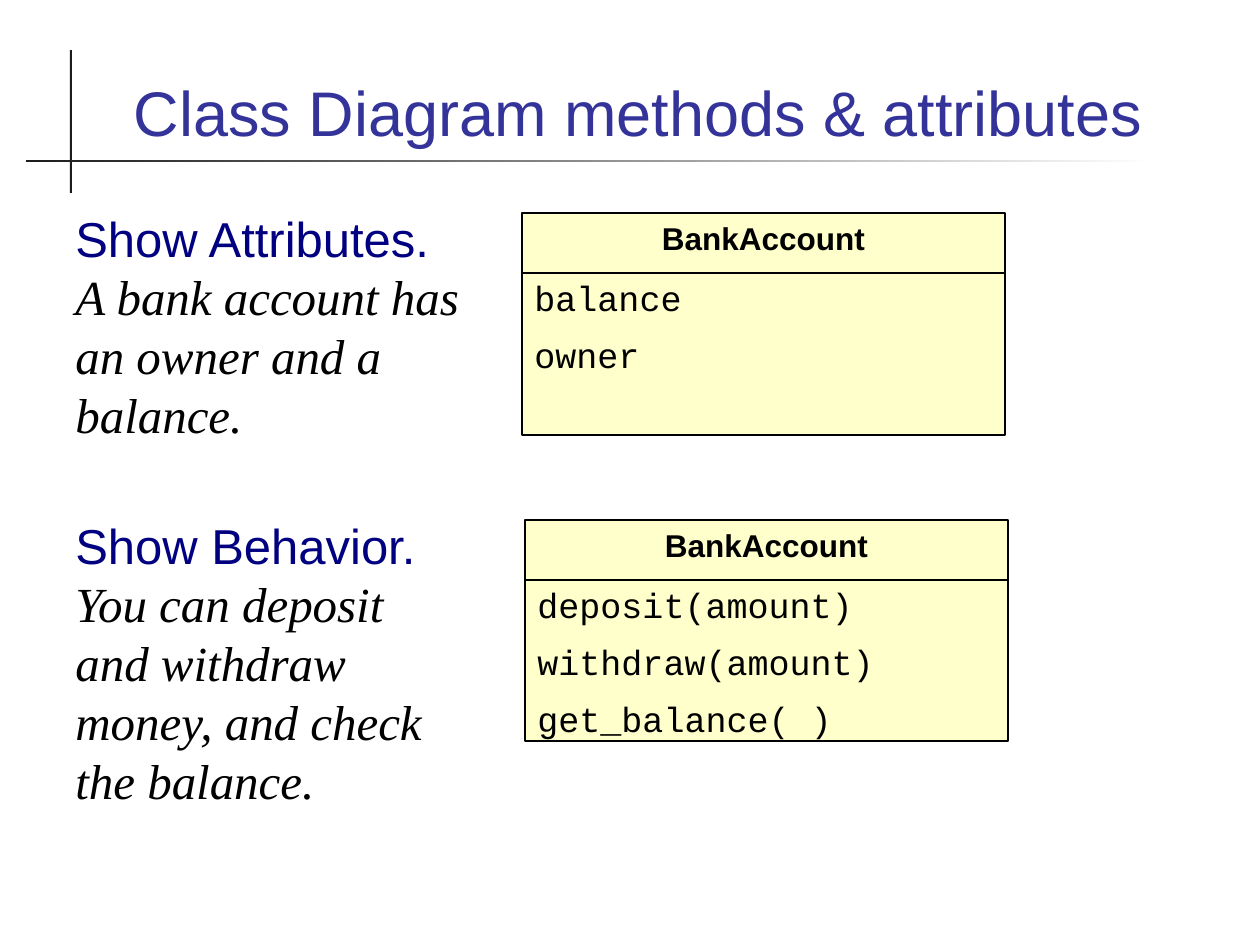
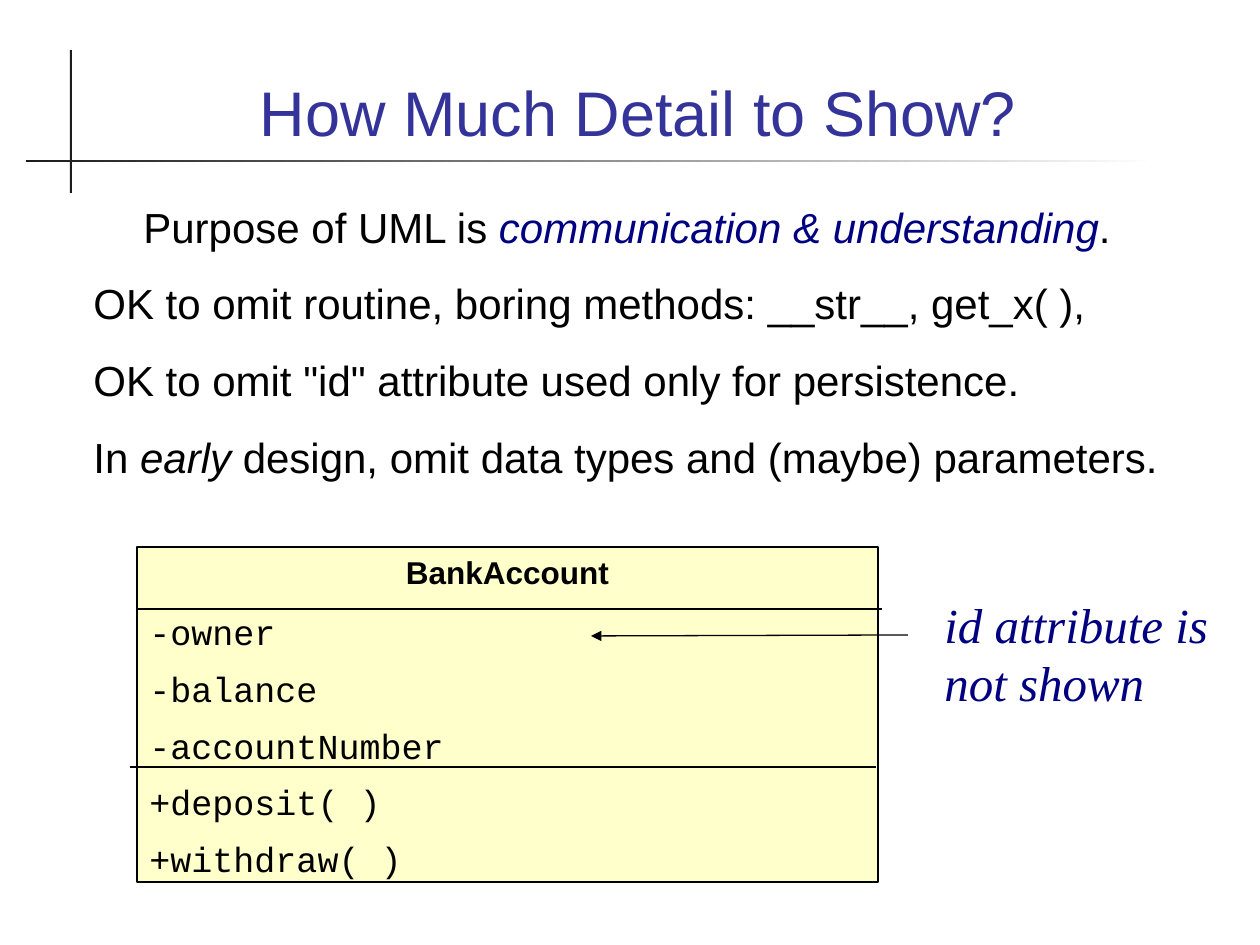
"""Build two slides on how much detail a UML class diagram shows."""
import lxml.etree
import pptx
import pptx.dml.color
import pptx.enum.shapes
import pptx.enum.text
import pptx.oxml.ns
import pptx.util

PX = 914400 / 126
RGB = pptx.dml.color.RGBColor
BLACK = RGB(0x00, 0x00, 0x00)
WHITE = RGB(0xFF, 0xFF, 0xFF)
BAND = RGB(0x1C, 0x1C, 0x1C)
INDIGO = RGB(0x33, 0x33, 0x99)
NAVY = RGB(0x00, 0x00, 0x80)
CREAM = RGB(0xFF, 0xFF, 0xCC)
SANS, SERIF, MONO = "Arial", "Times New Roman", "Courier New"
CENTER = pptx.enum.text.PP_ALIGN.CENTER
LEFT = pptx.enum.text.PP_ALIGN.LEFT
RECTANGLE = pptx.enum.shapes.MSO_SHAPE.RECTANGLE

TITLE_BOX = (84, 35, 1091, 120)
VERTICAL_BAND = (70, 50, 2, 143)
HORIZONTAL_BAND = (26, 160, 1131, 2)

SLIDES = [
    {
        "title": "Class Diagram methods & attributes",
        "classes": [
            ((522, 213, 483, 222), "BankAccount", ["balance", "owner"]),
            ((525, 520, 483, 221), "BankAccount",
             ["deposit(amount)", "withdraw(amount)", "get_balance( )"]),
        ],
        "dividers": [(522, 273, 1005), (525, 580, 1008)],
        "notes": [
            ((63, 202, 416, 247), "Show Attributes.",
             "A bank account has an owner and a balance."),
            ((63, 509, 416, 306), "Show Behavior.",
             "You can deposit and withdraw money, and check the balance."),
        ],
    },
    {
        "title": "How Much Detail to Show?",
        "advice": ((81, 195, 1092, 296), [
            [("Purpose of UML is ", BLACK, False),
             ("communication & understanding", NAVY, True),
             (".", BLACK, False)],
            [("OK to omit routine, boring methods: __str__, get_x( ),", BLACK, False)],
            [('OK to omit "id" attribute used only for persistence.', BLACK, False)],
            [("In ", BLACK, False), ("early", BLACK, True),
             (" design, omit data types and (maybe) parameters.", BLACK, False)],
        ]),
        "classes": [
            ((137, 547, 741, 335), "BankAccount",
             ["-owner", "-balance", "-accountNumber", "+deposit( )", "+withdraw( )"]),
        ],
        "dividers": [(136, 609, 882), (130, 767, 876)],
        "callout": ((932, 588, 290, 130), "id attribute is not shown"),
        "arrow": (908, 635, 591, 636),
    },
]


def px(*lengths):
    """Turn pixel lengths into EMU."""
    return [pptx.util.Emu(round(length * PX)) for length in lengths]


def write_lines(frame, lines):
    """Fill a frame from (spans, font, size, bold, alignment, space before)."""
    frame.word_wrap = True
    frame.auto_size = pptx.enum.text.MSO_AUTO_SIZE.NONE
    frame.vertical_anchor = pptx.enum.text.MSO_ANCHOR.TOP
    for index, (spans, font, size, bold, align, before) in enumerate(lines):
        para = frame.add_paragraph() if index else frame.paragraphs[0]
        para.alignment = align
        para.space_before = pptx.util.Pt(before)
        para.line_spacing = pptx.util.Pt(size * 1.2)
        for text, color, italic in spans:
            span = para.add_run()
            span.text = text
            span.font.name = font
            span.font.size = pptx.util.Pt(size)
            span.font.bold = bold
            span.font.italic = italic
            span.font.color.rgb = color


def add_text(page, place, lines):
    """Add a wrapped text box."""
    write_lines(page.shapes.add_textbox(*px(*place)).text_frame, lines)


def add_rectangle(page, place):
    """Add a rectangle without shadow or outline."""
    box = page.shapes.add_shape(RECTANGLE, *px(*place))
    box.shadow.inherit = False
    box.line.fill.background()
    return box


def add_frame(page, title):
    """Write the title and draw the crossing bands."""
    vertical = add_rectangle(page, VERTICAL_BAND)
    vertical.fill.solid()
    vertical.fill.fore_color.rgb = BAND
    horizontal = add_rectangle(page, HORIZONTAL_BAND)
    horizontal.fill.gradient()
    horizontal.fill.gradient_angle = 0
    for stop, color in zip(horizontal.fill.gradient_stops, (BAND, WHITE)):
        stop.color.rgb = color
    box = page.shapes.title
    box.left, box.top, box.width, box.height = px(*TITLE_BOX)
    frame = box.text_frame
    write_lines(frame, [([(title, INDIGO, False)], SANS, 36, False, CENTER, 0)])
    frame.vertical_anchor = pptx.enum.text.MSO_ANCHOR.BOTTOM
    frame.margin_left = px(30)[0]


def add_class(page, place, name, members):
    """Draw a UML class box with its name and members."""
    box = add_rectangle(page, place)
    box.fill.solid()
    box.fill.fore_color.rgb = CREAM
    box.line.color.rgb = BLACK
    box.line.width = pptx.util.Pt(1.5)
    lines = [([(name, BLACK, False)], SANS, 18, True, CENTER, 0)]
    for index, member in enumerate(members):
        before = 8.5 if index else 11
        lines.append(([(member, BLACK, False)], MONO, 20, False, LEFT, before))
    write_lines(box.text_frame, lines)


def add_line(page, ends, width, arrow=False):
    """Draw a straight black line, with an arrowhead at its end if asked."""
    line = page.shapes.add_connector(
        pptx.enum.shapes.MSO_CONNECTOR.STRAIGHT, *px(*ends))
    line.line.color.rgb = BLACK
    line.line.width = pptx.util.Pt(width)
    properties = line._element.spPr
    qn = pptx.oxml.ns.qn
    if arrow:
        outline = properties.find(qn("a:ln"))
        lxml.etree.SubElement(outline, qn("a:tailEnd"), type="triangle")
    lxml.etree.SubElement(properties, qn("a:effectLst"))


def build_slide(deck, content):
    """Add one slide from its content."""
    page = deck.slides.add_slide(deck.slide_layouts[5])
    add_frame(page, content["title"])
    if "advice" in content:
        place, advice = content["advice"]
        add_text(page, place, [
            (spans, SANS, 24, False, LEFT if index else CENTER, 15 if index else 0)
            for index, spans in enumerate(advice)])
    for place, name, members in content["classes"]:
        add_class(page, place, name, members)
    for left, top, right in content["dividers"]:
        add_line(page, (left, top, right, top), 1)
    for place, heading, sentence in content.get("notes", []):
        add_text(page, place, [
            ([(heading, NAVY, False)], SANS, 28, False, LEFT, 0),
            ([(sentence, BLACK, True)], SERIF, 28, False, LEFT, 0)])
    if "callout" in content:
        place, sentence = content["callout"]
        add_text(page, place, [([(sentence, NAVY, True)], SERIF, 28, False, LEFT, 0)])
        add_line(page, content["arrow"], 0.75, arrow=True)


def main():
    """Build and save the deck."""
    deck = pptx.Presentation()
    deck.slide_width, deck.slide_height = px(1260, 945)
    for content in SLIDES:
        build_slide(deck, content)
    deck.save("out.pptx")


if __name__ == "__main__":
    main()
